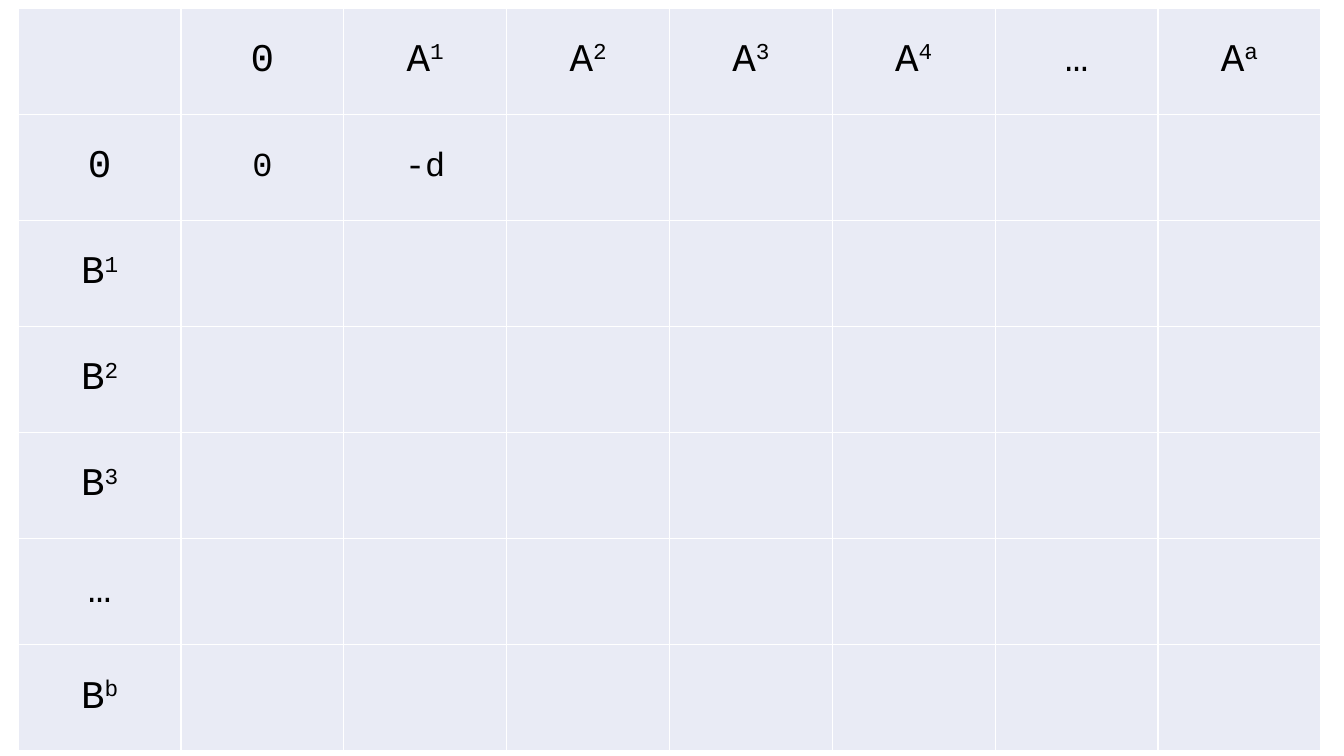
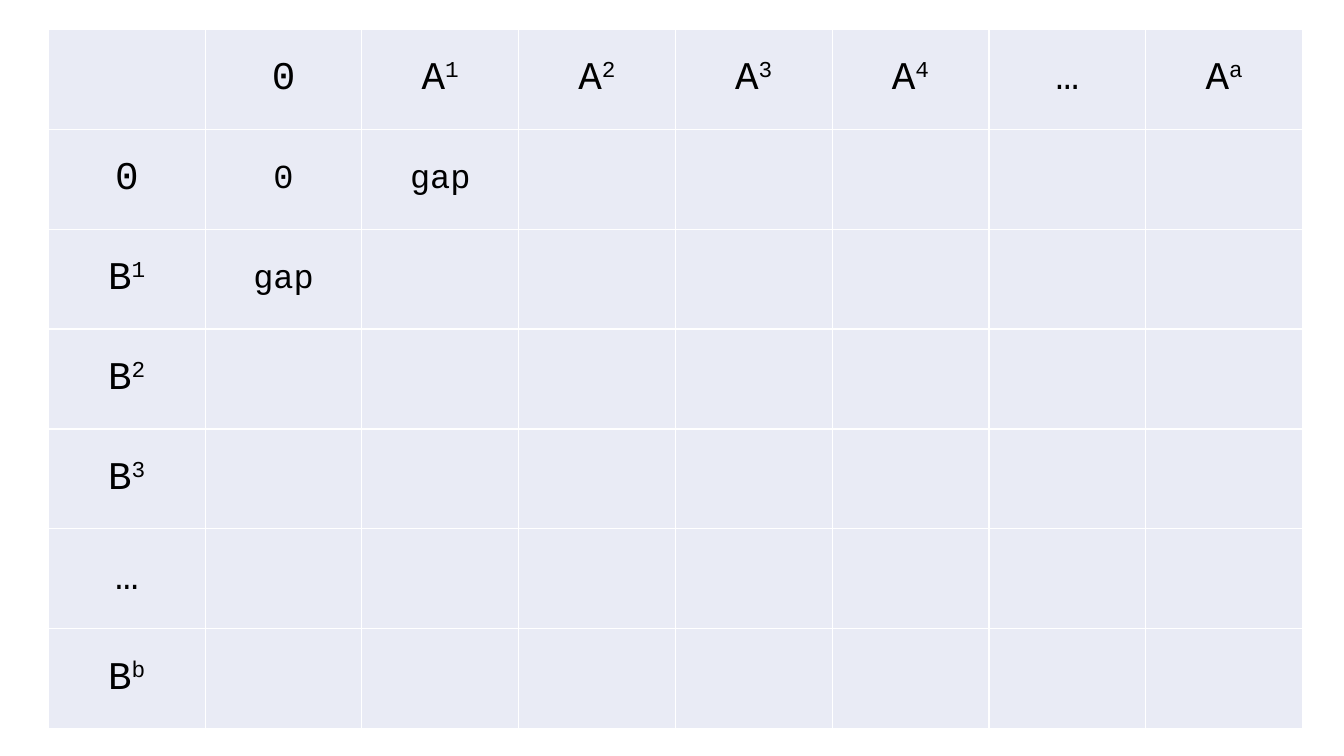
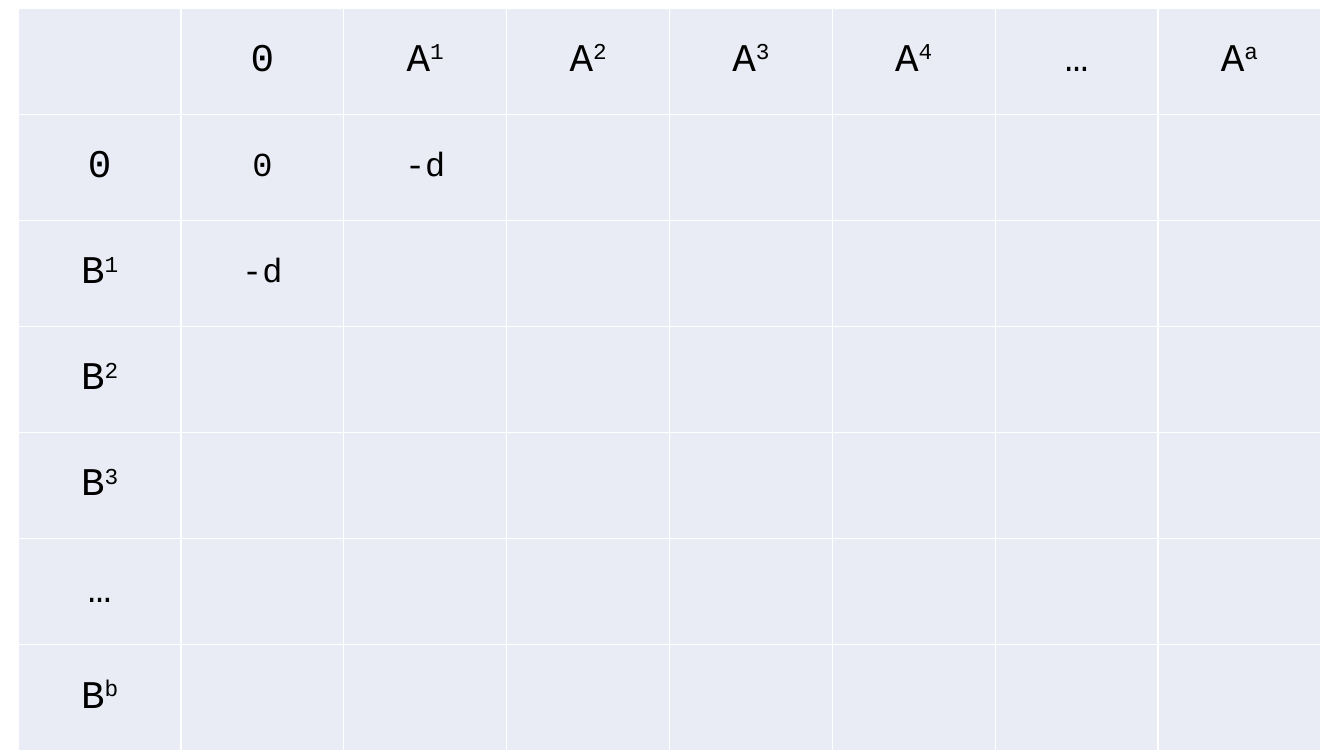
from lxml import etree
from pptx import Presentation
from pptx import util as u
from pptx.dml.color import RGBColor
from pptx.enum import text
from pptx.oxml.ns import qn

FILL, RULE, INK = "E9EBF5", "FFFFFF", "000000"
FONT = "Courier New"
HEADER_SIZE, SCORE_SIZE = 28, 24
SUPERSCRIPT = "30000"

# Each label is a base and its superscript
COLUMN_LABELS = [("0", ""), ("A", "1"), ("A", "2"), ("A", "3"), ("A", "4"), ("…", ""), ("A", "a")]
ROW_LABELS = [("0", ""), ("B", "1"), ("B", "2"), ("B", "3"), ("…", ""), ("B", "b")]

WIDE_BOX = (0.18, 0.08, 12.92, 7.37)
INSET_BOX = (0.48, 0.29, 12.44, 6.94)

# Box of the matrix, and scores by (row, column)
SLIDES = [
    (WIDE_BOX, {(1, 1): "0", (1, 2): "-d"}),
    (INSET_BOX, {(1, 1): "0", (1, 2): "gap", (2, 1): "gap"}),
    (WIDE_BOX, {(1, 1): "0", (1, 2): "-d", (2, 1): "-d"}),
]


def color(value):
    """Turn a hex string into a colour."""
    return RGBColor.from_string(value)


def add_run(p, words, size, raised=False):
    """Add a run in the matrix font, raised when it is a superscript."""
    r = p.add_run()
    r.text = words
    for name, value in {"name": FONT, "size": u.Pt(size), "bold": False}.items():
        setattr(r.font, name, value)
    r.font.color.rgb = color(INK)
    if raised:
        r._r.get_or_add_rPr().set("baseline", SUPERSCRIPT)


def add_borders(cell):
    """Draw a thin rule on all four sides of a cell."""
    tc_pr = cell._tc.get_or_add_tcPr()
    for i, side in enumerate(("a:lnL", "a:lnR", "a:lnT", "a:lnB")):
        ln = etree.Element(qn(side), w=str(u.Pt(1)))
        fill = etree.SubElement(ln, qn("a:solidFill"))
        etree.SubElement(fill, qn("a:srgbClr"), val=RULE)
        tc_pr.insert(i, ln)


def fill_cell(cell, label, size):
    """Style a cell and write its base and superscript."""
    cell.fill.solid()
    cell.fill.fore_color.rgb = color(FILL)
    cell.vertical_anchor = text.MSO_ANCHOR.MIDDLE
    add_borders(cell)
    p = cell.text_frame.paragraphs[0]
    p.alignment = text.PP_ALIGN.CENTER
    base, power = label
    if base:
        add_run(p, base, size)
    if power:
        add_run(p, power, size, raised=True)


def add_matrix(s, box, scores):
    """Fill the box with an alignment matrix of equal cells."""
    labels = {(0, c): label for c, label in enumerate(COLUMN_LABELS, 1)}
    labels.update({(r, 0): label for r, label in enumerate(ROW_LABELS, 1)})
    labels.update({place: (score, "") for place, score in scores.items()})
    rows, cols = len(ROW_LABELS) + 1, len(COLUMN_LABELS) + 1
    left, top, width, height = box
    table = s.shapes.add_table(rows, cols, *map(u.Inches, box)).table
    for flag in ("first_row", "horz_banding"):
        setattr(table, flag, False)
    for column in table.columns:
        column.width = u.Inches(width / cols)
    for r, row in enumerate(table.rows):
        row.height = u.Inches(height / rows)
        for c, cell in enumerate(row.cells):
            size = SCORE_SIZE if r and c else HEADER_SIZE
            fill_cell(cell, labels.get((r, c), ("", "")), size)


def build():
    """Build and save the presentation."""
    prs = Presentation()
    prs.slide_width, prs.slide_height = u.Inches(13.33), u.Inches(7.5)
    for box, scores in SLIDES:
        s = prs.slides.add_slide(prs.slide_layouts[6])
        add_matrix(s, box, scores)
    prs.save("out.pptx")


build()
